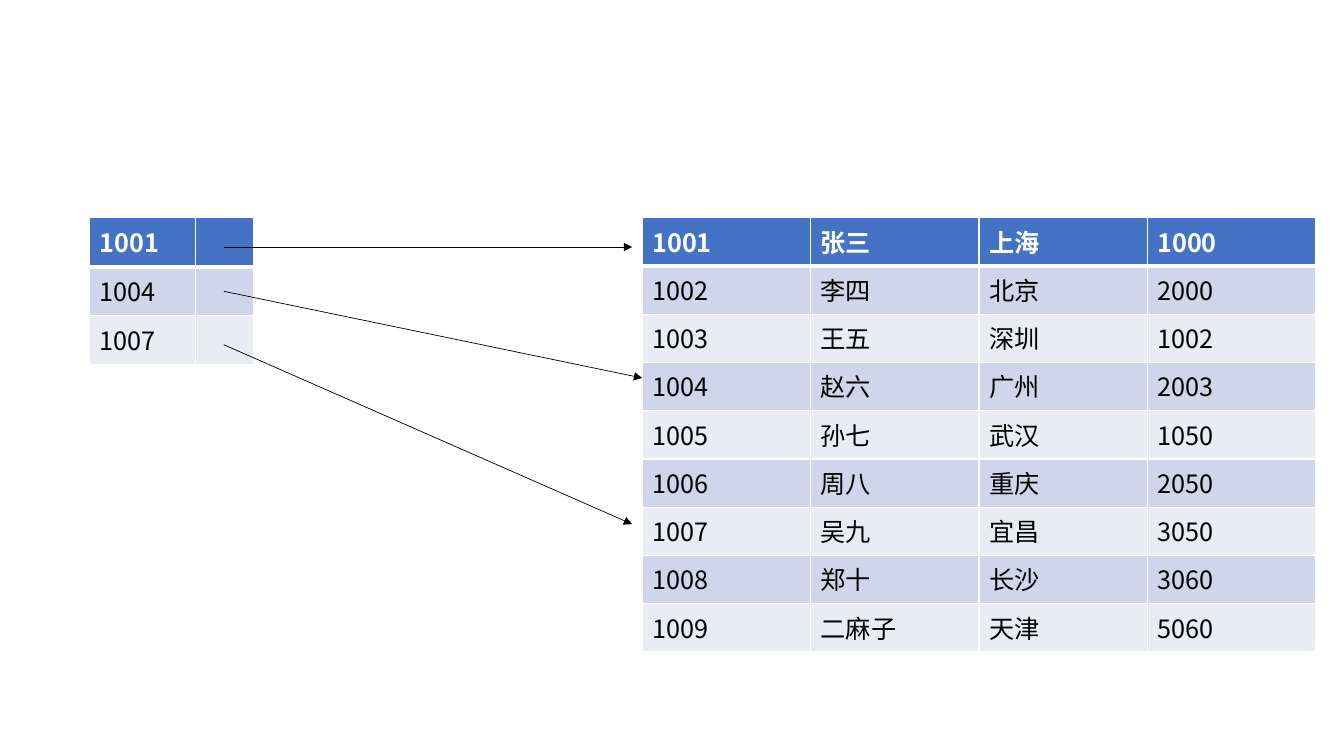
from lxml import etree
from pptx import Presentation
from pptx.dml.color import RGBColor
from pptx.enum.shapes import MSO_CONNECTOR
from pptx.oxml.ns import qn
from pptx.util import Inches, Pt

STRAIGHT = MSO_CONNECTOR.STRAIGHT
FONT = "Noto Sans CJK SC"
WHITE, BLACK = "FFFFFF", "000000"
HEADER_FILL = "4472C4"
BAND_FILLS = ("CFD5EA", "E9EBF5")
TABLES_TOP = 2.16

INDEX_ROWS = [("1001", ""), ("1004", ""), ("1007", "")]
RECORD_ROWS = [
    ("1001", "张三", "上海", "1000"),
    ("1002", "李四", "北京", "2000"),
    ("1003", "王五", "深圳", "1002"),
    ("1004", "赵六", "广州", "2003"),
    ("1005", "孙七", "武汉", "1050"),
    ("1006", "周八", "重庆", "2050"),
    ("1007", "吴九", "宜昌", "3050"),
    ("1008", "郑十", "长沙", "3060"),
    ("1009", "二麻子", "天津", "5060"),
]
POINTER_LEFT = 2.22
# Start height, end left, end height of each pointer
POINTERS = [(2.45, 6.27, 2.45), (2.89, 6.37, 3.75), (3.42, 6.27, 5.2)]


def rgb(value):
    return RGBColor.from_string(value)


def add_borders(cell, row):
    """White rules, thicker between the first row and the second."""
    properties = cell._tc.get_or_add_tcPr()
    widths = {"L": 1, "R": 1, "T": 3 if row == 1 else 1, "B": 3 if row == 0 else 1}
    for side, width in widths.items():
        border = etree.SubElement(properties, qn(f"a:ln{side}"), w=str(Pt(width)))
        fill = etree.SubElement(border, qn("a:solidFill"))
        etree.SubElement(fill, qn("a:srgbClr"), val=WHITE)


def style_cell(cell, text, row):
    is_header = row == 0
    add_borders(cell, row)
    cell.fill.solid()
    cell.fill.fore_color.rgb = rgb(HEADER_FILL if is_header else BAND_FILLS[(row - 1) % 2])
    cell.text = text
    for run in cell.text_frame.paragraphs[0].runs:
        run.font.size = Pt(18)
        run.font.bold = is_header
        run.font.color.rgb = rgb(WHITE if is_header else BLACK)
        run.font.name = FONT
        etree.SubElement(run.font._element, qn("a:ea"), typeface=FONT)


def add_banded_table(slide, rows, left, column_widths, height):
    table = slide.shapes.add_table(
        len(rows), len(column_widths), Inches(left), Inches(TABLES_TOP),
        Inches(sum(column_widths)), Inches(height)).table
    for column, width in zip(table.columns, column_widths):
        column.width = Inches(width)
    for row, texts in enumerate(rows):
        for column, text in enumerate(texts):
            style_cell(table.cell(row, column), text, row)


def add_pointer(slide, start_top, end_left, end_top):
    pointer = slide.shapes.add_connector(
        STRAIGHT, Inches(POINTER_LEFT), Inches(start_top),
        Inches(end_left), Inches(end_top))
    pointer.line.width = Pt(0.5)
    pointer.line.color.rgb = rgb(BLACK)
    etree.SubElement(pointer.line._get_or_add_ln(), qn("a:tailEnd"), type="triangle")
    etree.SubElement(pointer._element.spPr, qn("a:effectLst"))


def main():
    deck = Presentation()
    deck.slide_width, deck.slide_height = Inches(13.33), Inches(7.5)
    slide = deck.slides.add_slide(deck.slide_layouts[6])

    # Full records, then the sparse index
    add_banded_table(slide, RECORD_ROWS, 6.37, [1.67] * 4, 4.31)
    add_banded_table(slide, INDEX_ROWS, 0.89, [1.05, 0.58], 1.46)

    # Pointers from index entries to records
    for pointer in POINTERS:
        add_pointer(slide, *pointer)

    deck.save("out.pptx")


if __name__ == "__main__":
    main()
